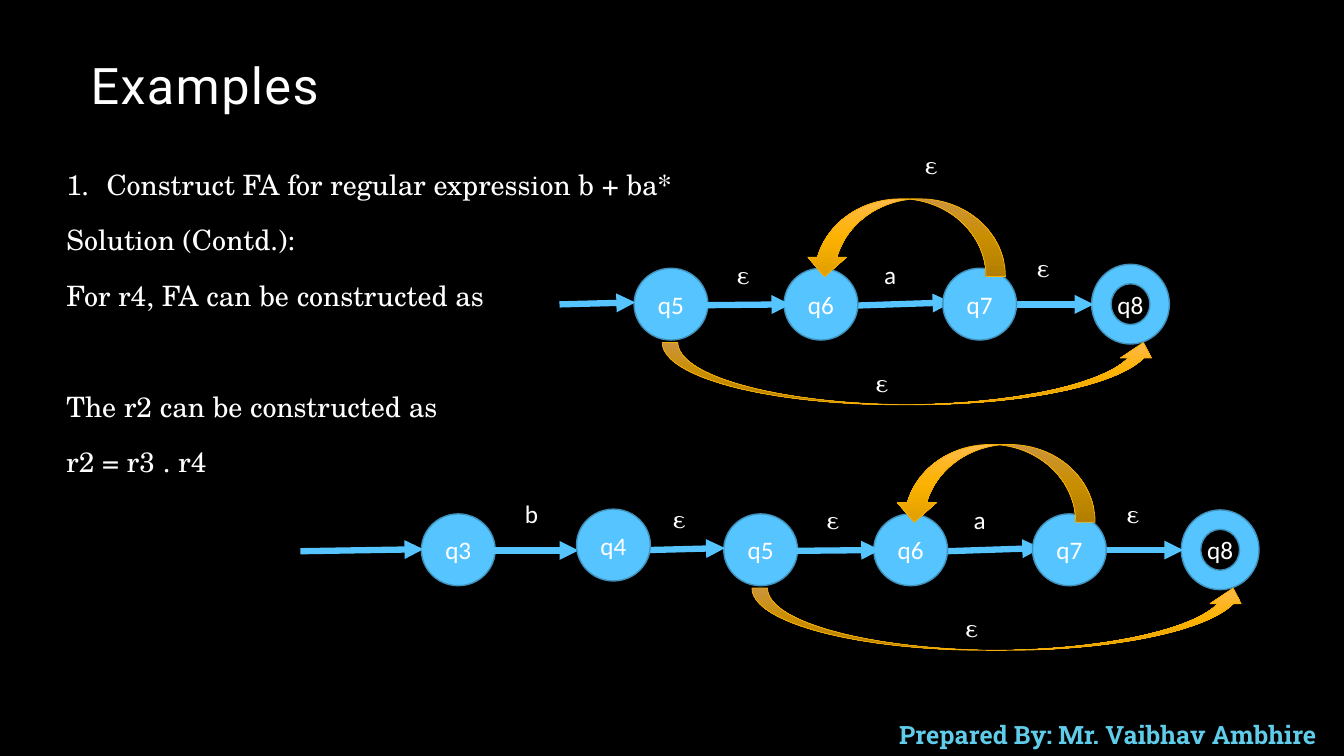
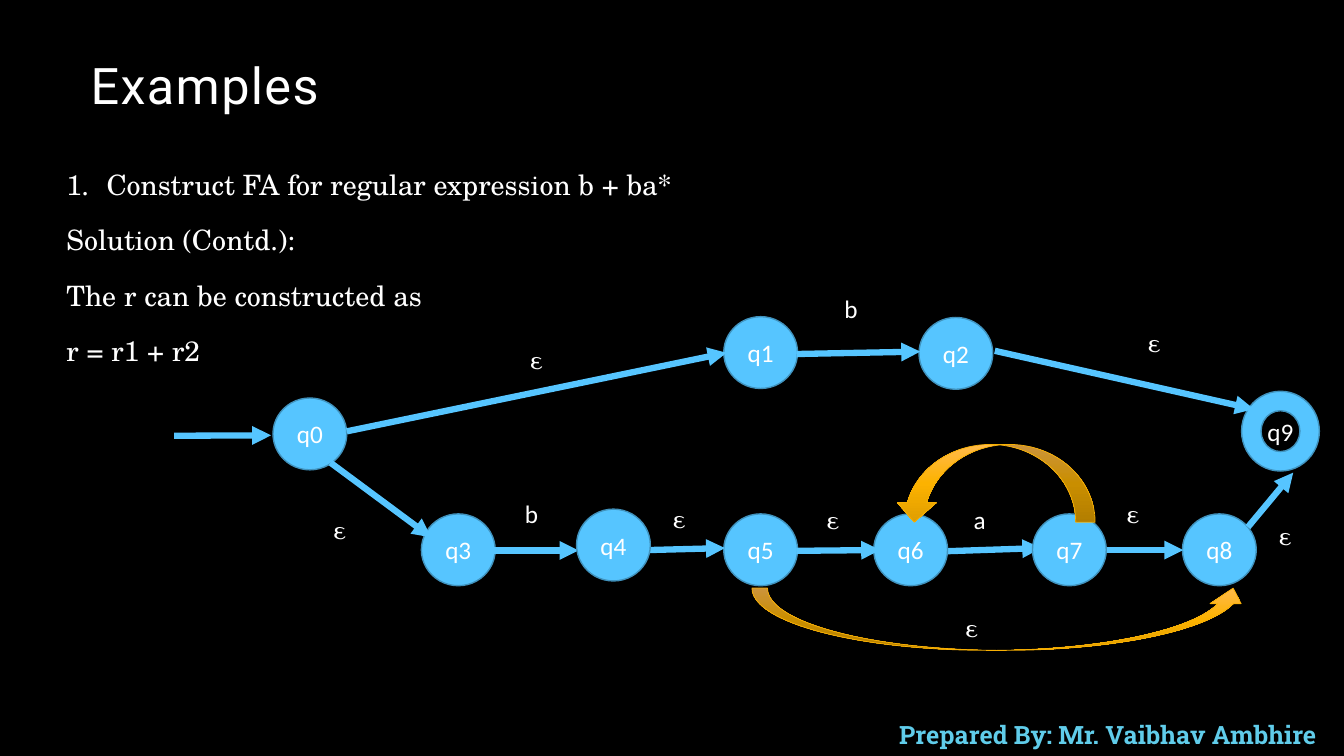
from copy import deepcopy

from lxml import etree
from pptx import Presentation
from pptx.dml import color
from pptx.enum import shapes, text
from pptx.oxml import ns
from pptx.util import Cm, Pt

COLORS = {
    "background": "000000",
    "text": "FFFFFF",
    "footer": "60CCEA",
    "state": "56C5FF",
    "state_edge": "4092BD",
    "jump_edge": "F8B004",
}
JUMP_GRADIENT = [(0, "FFBA4B"), (0.5, "FCB200"), (1, "E09E00")]
SANS, SERIF = "Calibri", "TeX Gyre Schola"
EPSILON = "ε"
QUESTION = "Construct FA for regular expression b + ba*"
LINE_GAP = 18
SKIPPED_LINE = 39.6


def rgb(value):
    return color.RGBColor.from_string(value)


def format_paragraph(para, font, size, shade="text"):
    para.font.name = font
    para.font.size = Pt(size)
    para.font.color.rgb = rgb(COLORS[shade])


def place(box, left, top, width, height):
    box.left, box.top, box.width, box.height = map(Cm, (left, top, width, height))


def set_marker(para, tag, indent=0, **attributes):
    properties = para._p.get_or_add_pPr()
    properties.set("marL", str(Cm(indent)))
    properties.set("indent", str(-Cm(indent)))
    etree.SubElement(properties, ns.qn(tag), attributes)


def add_text(page, words, left, top, width, height, font, shade="text"):
    box = page.shapes.add_textbox(*map(Cm, (left, top, width, height)))
    box.text_frame.word_wrap = True
    box.text_frame.auto_size = text.MSO_AUTO_SIZE.SHAPE_TO_FIT_TEXT
    para = box.text_frame.paragraphs[0]
    para.text = words
    format_paragraph(para, font, 18, shade)
    return box


def add_label(page, symbol, left, top):
    add_text(page, symbol, left, top, 1.07, 1.03, SERIF if symbol == EPSILON else SANS)


def add_state(page, name, left, top, final=False):
    kind = shapes.MSO_SHAPE.DONUT if final else shapes.MSO_SHAPE.OVAL
    size = (1.96, 2.01) if final else (1.86, 1.81)
    state = page.shapes.add_shape(kind, *map(Cm, (left, top, *size)))
    state.shadow.inherit = False
    state.fill.solid()
    state.fill.fore_color.rgb = rgb(COLORS["state"])
    state.line.color.rgb = rgb(COLORS["state_edge"])
    state.line.width = Pt(1)
    frame = state.text_frame
    frame.word_wrap = False
    frame.vertical_anchor = text.MSO_ANCHOR.MIDDLE
    para = frame.paragraphs[0]
    para.text = name
    para.alignment = text.PP_ALIGN.CENTER
    format_paragraph(para, SANS, 18)


def add_arrow(page, *ends):
    arrow = page.shapes.add_connector(shapes.MSO_CONNECTOR.STRAIGHT, *map(Cm, ends))
    arrow.line.color.rgb = rgb(COLORS["state"])
    arrow.line.width = Pt(4.5)
    etree.SubElement(arrow.line._get_or_add_ln(), ns.qn("a:tailEnd"), type="triangle")
    etree.SubElement(arrow.element.spPr, ns.qn("a:effectLst"))


def add_jump(page, kind, left, top, width, height, flipped=False):
    jump = page.shapes.add_shape(kind, *map(Cm, (left, top, width, height)))
    jump.shadow.inherit = False
    jump.fill.gradient()
    jump.fill.gradient_angle = 270
    properties = jump.element.spPr
    stops = properties.find(".//" + ns.qn("a:gsLst"))
    stops.append(deepcopy(stops[0]))
    for stop, (position, shade) in zip(jump.fill.gradient_stops, JUMP_GRADIENT):
        stop.position = position
        stop.color.rgb = rgb(shade)
    jump.line.color.rgb = rgb(COLORS["jump_edge"])
    jump.line.width = Pt(0.5)
    if flipped:
        properties.find(ns.qn("a:xfrm")).set("flipH", "1")


def add_star_machine(page, left, top, final=True):
    def arrow(x1, y1, x2, y2):
        add_arrow(page, left + x1, top + y1, left + x2, top + y2)

    add_state(page, "q5", left, top)
    arrow(-1.88, 0.91, 0.03, 0.86)
    arrow(5.61, 0.94, 8, 0.86)
    if final:
        add_state(page, "q8", left + 11.53, top - 0.1, final=True)
    else:
        add_state(page, "q8", left + 11.56, top)
    add_state(page, "q6", left + 3.78, top)
    arrow(9.6, 0.91, 11.58, 0.91)
    arrow(1.83, 0.93, 3.94, 0.91)
    add_state(page, "q7", left + 7.78, top)
    add_jump(page, shapes.MSO_SHAPE.CURVED_UP_ARROW, left + 0.71, top + 1.87, 12.52, 1.57)
    add_jump(page, shapes.MSO_SHAPE.CURVED_DOWN_ARROW, left + 4.31, top - 1.75, 5.05, 1.96, True)
    for symbol, x, y in [
        (EPSILON, 2.34, -0.36),
        ("a", 6.05, -0.36),
        (EPSILON, 9.9, -0.52),
        (EPSILON, 5.84, 2.36),
    ]:
        add_label(page, symbol, left + x, top + y)


def add_product_machine(page, final=True):
    add_star_machine(page, 18.24, 12.95, final)
    add_state(page, "q3", 10.62, 12.95)
    add_arrow(page, 12.45, 13.87, 14.58, 13.87)
    add_state(page, "q4", 14.53, 12.83)
    add_label(page, "b", 12.98, 12.42)
    add_label(page, EPSILON, 16.71, 12.55)


def add_page(deck, lines):
    page = deck.slides.add_slide(deck.slide_layouts[1])
    title = page.shapes.title
    place(title, 2.03, 1.02, 26.52, 2.01)
    title.text_frame.vertical_anchor = text.MSO_ANCHOR.BOTTOM
    para = title.text_frame.paragraphs[0]
    para.text = "Examples"
    para.alignment = text.PP_ALIGN.LEFT
    para.line_spacing = 0.9
    format_paragraph(para, "Roboto", 36)
    para.runs[0].font._element.set("spc", "100")

    body = page.placeholders[1]
    place(body, 1.42, 4.19, 16.79, 8.51)
    frame = body.text_frame
    frame.auto_size = text.MSO_AUTO_SIZE.NONE
    for index, (words, extra_gap) in enumerate([(QUESTION, 0), ("Solution (Contd.):", 0), *lines]):
        para = frame.add_paragraph() if index else frame.paragraphs[0]
        para.text = words
        para.line_spacing = 0.9
        para.space_before = Pt(LINE_GAP + extra_gap)
        para.space_after = Pt(0)
        if index:
            set_marker(para, "a:buNone")
        else:
            set_marker(para, "a:buAutoNum", 1.01, type="arabicPeriod")
        format_paragraph(para, SERIF, 20)
    return page


def set_master(deck, page):
    master = deck.slide_master
    master.background.fill.solid()
    master.background.fill.fore_color.rgb = rgb(COLORS["background"])
    footer = add_text(page, "Prepared By: Mr. Vaibhav Ambhire", 21.95, 18.01, 11.94, 1.03,
                      "Roboto Slab", "footer")
    para = footer.text_frame.paragraphs[0]
    para.alignment = text.PP_ALIGN.CENTER
    para.font.bold = True
    master.shapes.element.append(footer.element)


def add_concatenation_page(deck):
    page = add_page(deck, [
        ("For r4, FA can be constructed as", 0),
        ("The r2 can be constructed as", SKIPPED_LINE),
        ("r2 = r3 . r4", 0),
    ])
    add_star_machine(page, 15.98, 6.76)
    add_label(page, EPSILON, 23.06, 3.63)
    add_product_machine(page)
    add_arrow(page, 7.57, 13.89, 10.67, 13.84)
    return page


def add_union_page(deck):
    page = add_page(deck, [("The r can be constructed as", 0), ("r = r1 + r2", 0)])
    add_product_machine(page, final=False)
    for name, left, top in [("q0", 6.88, 10.03), ("q1", 18.24, 7.98), ("q2", 23.16, 8)]:
        add_state(page, name, left, top)
    add_state(page, "q9", 31.29, 9.86, final=True)
    for ends in [
        (4.39, 10.98, 6.83, 10.97),
        (8.74, 10.87, 18.31, 8.89),
        (20.09, 8.92, 23.19, 8.86),
        (25.07, 8.84, 31.6, 10.31),
        (8.33, 11.66, 10.87, 13.54),
        (31.45, 13.28, 32.59, 11.91),
    ]:
        add_arrow(page, *ends)
    for symbol, left, top in [
        (EPSILON, 13.11, 8.56),
        ("b", 21.03, 7.26),
        (EPSILON, 28.68, 8.13),
        (EPSILON, 8.15, 12.83),
        (EPSILON, 31.98, 12.98),
    ]:
        add_label(page, symbol, left, top)


def main():
    deck = Presentation()
    deck.slide_width, deck.slide_height = Cm(33.87), Cm(19.05)
    first_page = add_concatenation_page(deck)
    set_master(deck, first_page)
    add_union_page(deck)
    deck.save("out.pptx")


if __name__ == "__main__":
    main()
